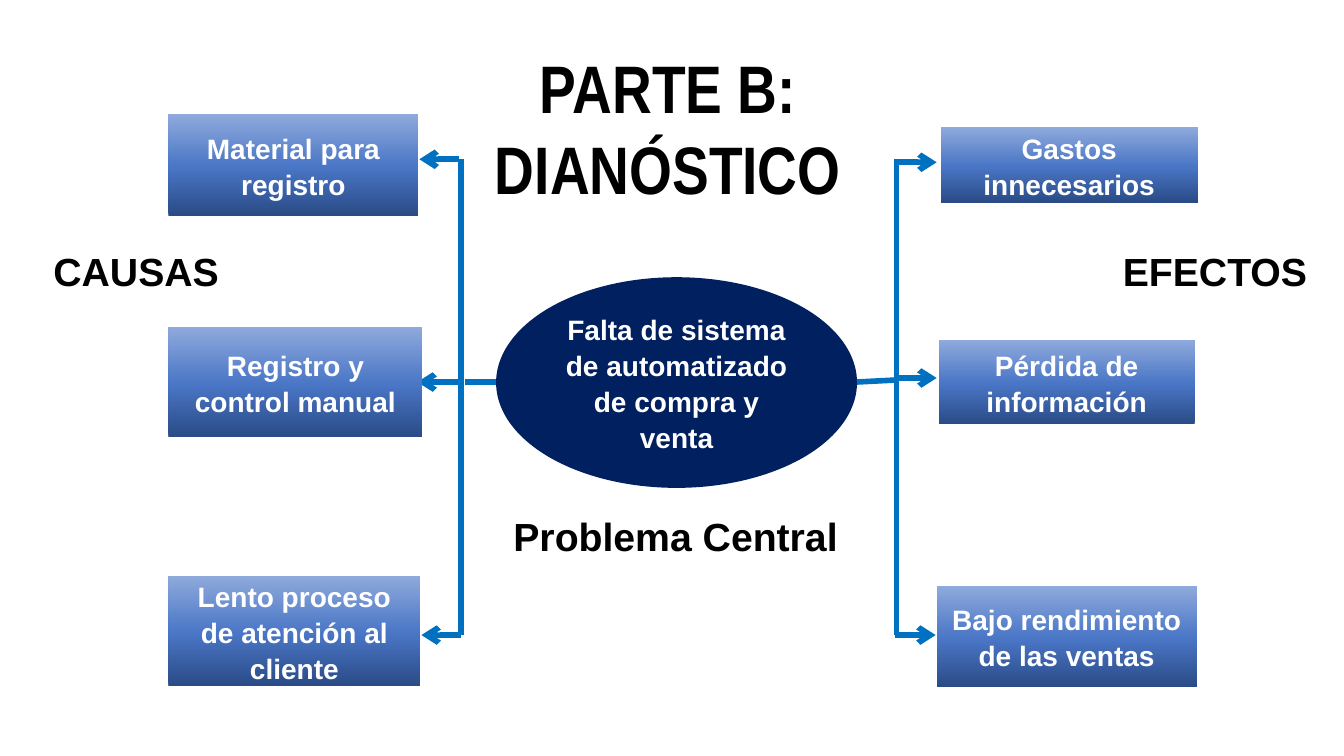
import copy
import pptx
import pptx.util
import pptx.dml.color
import pptx.enum.shapes
import pptx.enum.text
import pptx.oxml.ns
import lxml.etree

Inches, Pt = pptx.util.Inches, pptx.util.Pt
SHAPE = pptx.enum.shapes.MSO_SHAPE
ALIGN = pptx.enum.text.PP_ALIGN
qn = pptx.oxml.ns.qn


def color(code):
    return pptx.dml.color.RGBColor.from_string(code)


def write(shape, text, size, tint, font="Arial", after=0, lines=None):
    frame = shape.text_frame
    frame.word_wrap = True
    frame.text = text
    para = frame.paragraphs[0]
    para.alignment = ALIGN.CENTER
    para.space_after = Pt(after)
    para.line_spacing = lines
    face = para.runs[0].font
    face.name, face.size, face.bold = font, Pt(size), True
    face.color.rgb = color(tint)


prs = pptx.Presentation()
prs.slide_width, prs.slide_height = Inches(13.33), Inches(7.5)
slide = prs.slides.add_slide(prs.slide_layouts[6])
shapes = slide.shapes

# Central problem
oval = shapes.add_shape(SHAPE.OVAL, Inches(4.92), Inches(2.75), Inches(3.58), Inches(2.09))
oval.shadow.inherit = False
oval.fill.solid()
oval.fill.fore_color.rgb = color("002060")
oval.line.fill.background()
oval.text_frame.vertical_anchor = pptx.enum.text.MSO_ANCHOR.MIDDLE
write(oval, "Falta de sistema de automatizado de compra y venta", 20, "FFFFFF", after=8, lines=1.07)

# Trunks and branches: start, end, arrowhead
links = [
    (4.92, 3.79, 4.61, 3.79, False),
    (4.57, 1.58, 4.57, 6.3, False),
    (4.55, 1.58, 4.16, 1.58, True),
    (4.54, 3.79, 4.14, 3.79, True),
    (4.57, 6.3, 4.18, 6.3, True),
    (8.89, 3.77, 8.5, 3.79, False),
    (8.89, 6.3, 8.89, 1.58, False),
    (8.9, 1.61, 9.29, 1.61, True),
    (8.9, 3.75, 9.29, 3.75, True),
    (8.88, 6.3, 9.28, 6.3, True),
]
for *ends, arrow in links:
    link = shapes.add_connector(
        pptx.enum.shapes.MSO_CONNECTOR.STRAIGHT, *[Inches(end) for end in ends])
    link.line.color.rgb = color("0070C0")
    link.line.width = Pt(4)
    if arrow:
        lxml.etree.SubElement(link.line._ln, qn("a:tailEnd"), type="arrow")
    lxml.etree.SubElement(link._element.spPr, qn("a:effectLst"))

# Causes on the left, effects on the right
boxes = [
    (1.67, 1.13, 2.48, 1.01, "Material para registro"),
    (1.67, 3.24, 2.52, 1.1, "Registro y control manual"),
    (1.67, 5.71, 2.5, 1.1, "Lento proceso de atención al cliente"),
    (9.33, 1.26, 2.55, 0.75, "Gastos innecesarios"),
    (9.31, 3.37, 2.54, 0.84, "Pérdida de información"),
    (9.29, 5.81, 2.58, 1.01, "Bajo rendimiento de las ventas"),
]
shades = [(0, "2A4B86"), (0.48, "4A76C6"), (1, "8FAADC")]
for *place, text in boxes:
    box = shapes.add_shape(SHAPE.RECTANGLE, *[Inches(side) for side in place])
    box.shadow.inherit = False
    box.line.fill.background()
    box.fill.gradient()
    box.fill.gradient_angle = 90
    stops = box._element.spPr.find(qn("a:gradFill")).find(qn("a:gsLst"))
    stops.append(copy.deepcopy(stops[0]))
    for stop, (spot, shade) in zip(box.fill.gradient_stops, shades):
        stop.position = spot
        stop.color.rgb = color(shade)
    box.text_frame.vertical_anchor = pptx.enum.text.MSO_ANCHOR.MIDDLE
    write(box, text, 20, "FFFFFF", after=8, lines=1.07)

# Title and labels
labels = [
    (3.72, 0.41, 5.81, 0.91, "PARTE B: DIANÓSTICO", 48, "Arial Narrow", 8),
    (0.26, 2.4, 2.18, 0.57, "CAUSAS", 28, "Arial", 0),
    (10.96, 2.4, 2.18, 0.57, "EFECTOS", 28, "Arial", 0),
    (4.98, 5.03, 3.44, 0.57, "Problema Central", 28, "Arial", 0),
]
for *place, text, size, font, after in labels:
    label = shapes.add_textbox(*[Inches(side) for side in place])
    label.text_frame.auto_size = pptx.enum.text.MSO_AUTO_SIZE.SHAPE_TO_FIT_TEXT
    write(label, text, size, "000000", font, after)

prs.save("out.pptx")
